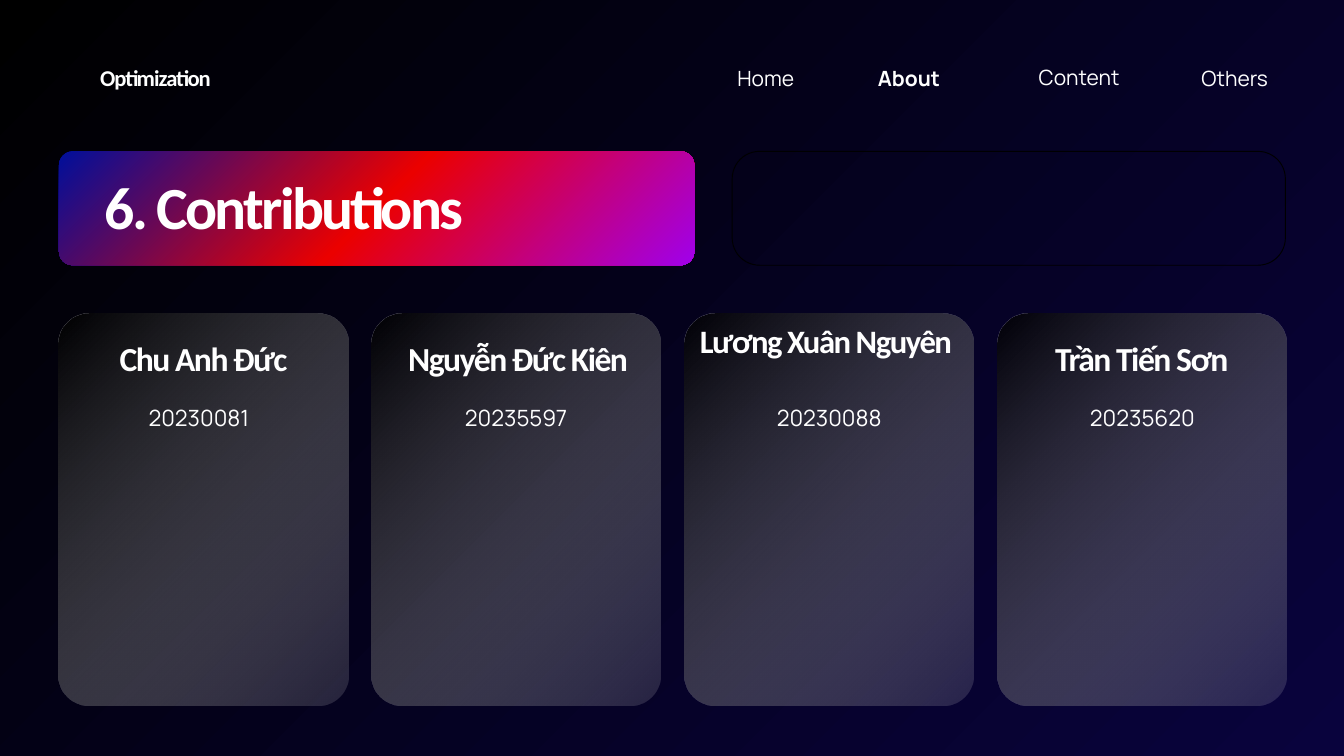
"""Build the contributions slide: navigation bar, title banner and four member cards."""
from lxml.etree import SubElement
from pptx import Presentation
from pptx.dml.color import RGBColor
from pptx.enum.shapes import MSO_SHAPE
from pptx.enum.text import MSO_ANCHOR, MSO_AUTO_SIZE, PP_ALIGN
from pptx.oxml.ns import qn
from pptx.util import Pt

COLORS = {"black": "000000", "navy": "09033D", "blue": "000F9B", "red": "EB0000",
          "purple": "A000EB", "grey": "DDDDDD", "white": "FFFFFF"}
LEFT, CENTER, RIGHT = PP_ALIGN.LEFT, PP_ALIGN.CENTER, PP_ALIGN.RIGHT
FRAME = {"margin_left": 0, "margin_top": 0, "margin_right": 0, "margin_bottom": 0,
         "word_wrap": True, "auto_size": MSO_AUTO_SIZE.NONE,
         "vertical_anchor": MSO_ANCHOR.TOP}


def set_gradient(fill, element, stops):
    fill.gradient()
    fill.gradient_angle = 315
    stop_list = element.find(".//" + qn("a:gsLst"))
    for old_stop in list(stop_list):
        stop_list.remove(old_stop)
    for position, color, opacity in stops:
        stop = SubElement(stop_list, qn("a:gs"), pos=str(position * 1000))
        tone = SubElement(stop, qn("a:srgbClr"), val=COLORS[color])
        if opacity < 100:
            SubElement(tone, qn("a:alpha"), val=str(opacity * 1000))


def write_text(box, text, place, font, size, leading, align=LEFT, bold=False, spacing=0):
    for name, value in zip(("left", "top", "width", "height"), place):
        setattr(box, name, Pt(value))
    for name, value in FRAME.items():
        setattr(box.text_frame, name, value)
    para = box.text_frame.paragraphs[0]
    for name, value in {"alignment": align, "line_spacing": Pt(leading)}.items():
        setattr(para, name, value)
    span = para.add_run()
    span.text = text
    for name, value in {"name": font, "size": Pt(size), "bold": bold}.items():
        setattr(span.font, name, value)
    span.font.color.rgb = RGBColor.from_string(COLORS["white"])
    if spacing:
        span._r.get_or_add_rPr().set("spc", str(round(spacing * 100)))


deck = Presentation()
deck.slide_width, deck.slide_height = Pt(1440), Pt(810)
page = deck.slides.add_slide(deck.slide_layouts[5])
set_gradient(page.background.fill, page._element, [(0, "black", 100), (100, "navy", 100)])

card_fill = [(0, "black", 78), (100, "grey", 15)]
banner_fill = [(0, "blue", 100), (50, "red", 100), (100, "purple", 100)]
panels = [((63.2 + 335.1 * column, 335.5, 309.7, 420), 0.107, card_fill)
          for column in range(4)]
panels += [((63.2, 162.2, 680.7, 122), 0.12, banner_fill),
           ((784.5, 162.2, 592.7, 122), 0.24, None)]
for place, roundness, stops in panels:
    panel = page.shapes.add_shape(MSO_SHAPE.ROUNDED_RECTANGLE, *map(Pt, place))
    panel.shadow.inherit = False
    panel.adjustments[0] = roundness
    if stops:
        set_gradient(panel.fill, panel._element, stops)
        panel.line.fill.background()
    else:
        panel.fill.background()
        panel.line.color.rgb = RGBColor.from_string(COLORS["black"])
        panel.line.width = Pt(1)

title = page.shapes.title
page.shapes._spTree.append(title._element)
write_text(title, "6. Contributions", (112.3, 193, 607.7, 65.5), "Calibri", 64, 65.3,
           bold=True, spacing=-2.9)

brand = page.shapes.add_textbox(0, 0, 0, 0)
write_text(brand, "Optimization", (107.3, 63.4, 211.7, 31.7), "Calibri", 24.2, 33.9,
           bold=True, spacing=-1.1)

navigation = [("Home", 720, 66.2, 131, RIGHT), ("About", 898.6, 66.2, 150.5, CENTER),
              ("Content", 1080.7, 64.8, 151.2, CENTER), ("Others", 1183.7, 66.2, 175, RIGHT)]
for label, left, top, width, align in navigation:
    link = page.shapes.add_textbox(0, 0, 0, 0)
    write_text(link, label, (left, top, width, 32.4), "Manrope", 22.5, 31.5,
               align, bold=label == "About")

members = [("Chu Anh Đức", 66.2, 368.6, 36, "20230081", 58.3),
           ("Nguyễn Đức Kiên", 403.2, 368.6, 36, "20235597", 398.2),
           ("Lương Xuân Nguyên", 733, 350.6, 35, "20230088", 733.7),
           ("Trần Tiến Sơn", 1071.4, 368.6, 36, "20235620", 1069.2)]
for member, left, top, size, number, number_left in members:
    name_box = page.shapes.add_textbox(0, 0, 0, 0)
    write_text(name_box, member, (left, top, 303.8, 36.7), "Calibri", size, size * 1.02,
               CENTER, True, -1.6)
    number_box = page.shapes.add_textbox(0, 0, 0, 0)
    write_text(number_box, number, (number_left, 427.7, 309.6, 33.1), "Manrope", 24, 33.6,
               CENTER)

deck.save("out.pptx")
